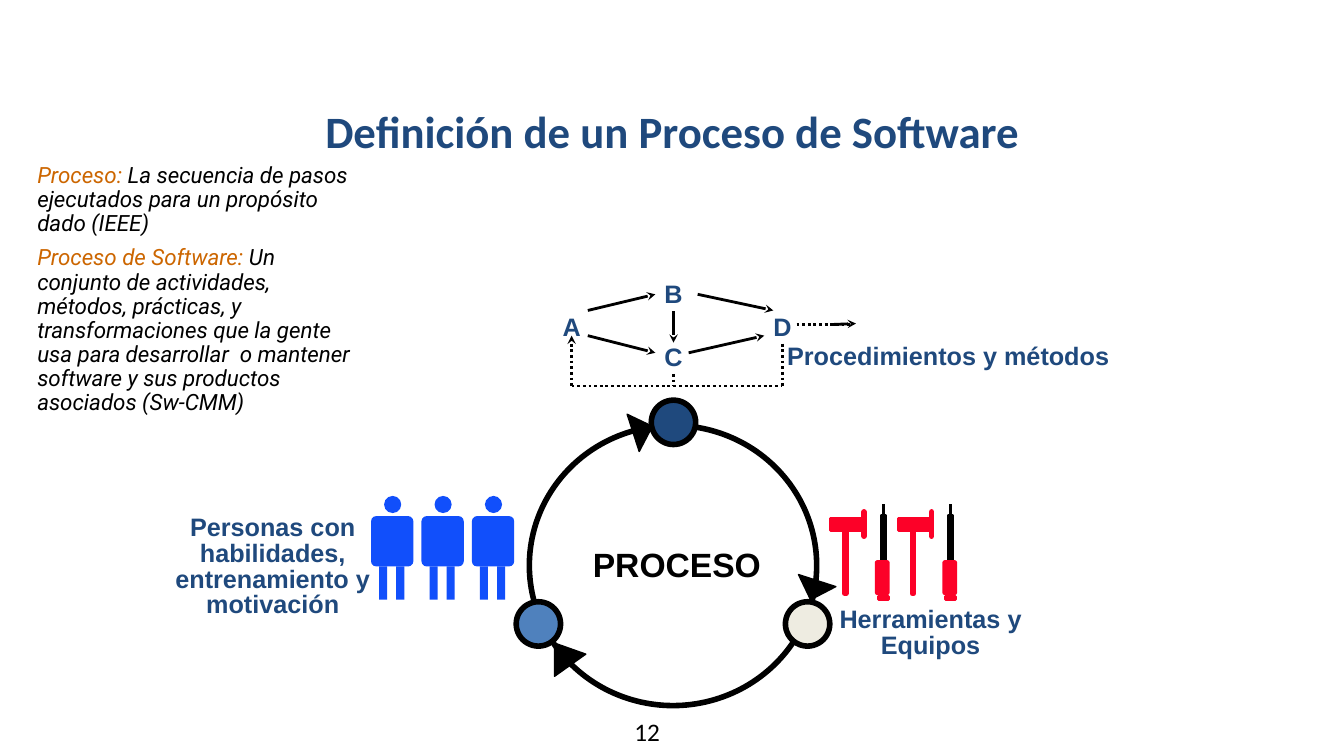
import pptx
import pptx.util
import pptx.dml.color
import pptx.enum.dml
import pptx.enum.shapes
import pptx.enum.text
import pptx.oxml.ns
from lxml import etree
from dataclasses import dataclass

Inches = pptx.util.Inches
Pt = pptx.util.Pt
SHAPE = pptx.enum.shapes.MSO_SHAPE
ALIGN = pptx.enum.text.PP_ALIGN
ANCHOR = pptx.enum.text.MSO_ANCHOR
AUTO = pptx.enum.text.MSO_AUTO_SIZE
TOP, BOTTOM = 0, 2


@dataclass(frozen=True)
class Theme:
    navy: str = "1F497D"
    sky: str = "4F81BD"
    cream: str = "EEECE1"
    person: str = "114FFB"
    tool: str = "FC0128"
    term: str = "CC6600"
    black: str = "000000"
    title: int = 32
    centre: int = 24
    label: int = 18
    body: int = 16


THEME = Theme()


def rgb(value):
    return pptx.dml.color.RGBColor.from_string(value)


def write(para, text, size=THEME.label, color=THEME.navy, font="Arial", bold=False, italic=False):
    span = para.add_run()
    span.text = text
    span.font.size, span.font.name = Pt(size), font
    span.font.bold, span.font.italic = bold, italic
    span.font.color.rgb = rgb(color)


def set_margins(frame, side, end):
    frame.margin_left = frame.margin_right = Inches(side)
    frame.margin_top = frame.margin_bottom = Inches(end)


def label(page, box, lines, align=ALIGN.LEFT, spacing=0.85, **style):
    shape = page.shapes.add_textbox(*map(Inches, box))
    frame = shape.text_frame
    frame.word_wrap = False
    frame.auto_size = AUTO.SHAPE_TO_FIT_TEXT
    set_margins(frame, 0.07, 0.03)
    for number, text in enumerate(lines):
        para = frame.add_paragraph() if number else frame.paragraphs[0]
        para.alignment, para.line_spacing = align, spacing
        write(para, text, **style)
    return shape


def paint(shape, fill=None, line=None, width=1):
    shape.shadow.inherit = False
    if fill:
        shape.fill.solid()
        shape.fill.fore_color.rgb = rgb(fill)
    else:
        shape.fill.background()
    if line:
        shape.line.color.rgb = rgb(line)
        shape.line.width = Pt(width)
    else:
        shape.line.fill.background()


def block(page, kind, box, fill=None, line=None, width=1):
    shape = page.shapes.add_shape(kind, *map(Inches, box))
    if kind == SHAPE.ROUNDED_RECTANGLE:
        shape.adjustments[0] = 0.125
    paint(shape, fill, line, width)


def connect(page, start, end, arrow=False, dotted=False, begin_at=None, end_at=None):
    line = page.shapes.add_connector(pptx.enum.shapes.MSO_CONNECTOR.STRAIGHT,
                                     *map(Inches, (*start, *end)))
    line.line.color.rgb = rgb(THEME.black)
    line.line.width = Pt(2)
    if dotted:
        line.line.dash_style = pptx.enum.dml.MSO_LINE.ROUND_DOT
    if begin_at:
        line.begin_connect(*begin_at)
    if end_at:
        line.end_connect(*end_at)
    qn = pptx.oxml.ns.qn
    if arrow:
        etree.SubElement(line.line._get_or_add_ln(), qn("a:tailEnd"), type="stealth")
    etree.SubElement(line._element.spPr, qn("a:effectLst"))


def place(shape, box):
    shape.left, shape.top, shape.width, shape.height = map(Inches, box)
    shape.text_frame.auto_size = AUTO.NONE
    shape.text_frame.word_wrap = True


def add_title(page, box):
    title = page.shapes.title
    place(title, box)
    frame = title.text_frame
    set_margins(frame, 0, 0)
    frame.vertical_anchor = ANCHOR.MIDDLE
    frame.paragraphs[0].alignment = ALIGN.CENTER
    write(frame.paragraphs[0], "Definición de un Proceso de Software",
          size=THEME.title, font="Calibri", bold=True)


def add_definitions(page, box):
    body = page.placeholders[1]
    place(body, box)
    frame = body.text_frame
    set_margins(frame, 0.07, 0.03)
    frame.vertical_anchor = ANCHOR.TOP
    definitions = (
        ("Proceso:", " La secuencia de pasos ejecutados para un propósito dado (IEEE)"),
        ("Proceso de Software:", " Un conjunto de actividades, métodos, prácticas, y "
         "transformaciones que la gente usa para desarrollar  o mantener software "
         "y sus productos asociados (Sw-CMM)"),
    )
    for number, (term, meaning) in enumerate(definitions):
        para = frame.add_paragraph() if number else frame.paragraphs[0]
        properties = para._p.get_or_add_pPr()
        properties.set("marL", "0")
        properties.set("indent", "0")
        etree.SubElement(properties, pptx.oxml.ns.qn("a:buNone"))
        para.alignment, para.line_spacing = ALIGN.LEFT, 0.9
        para.space_before = Pt(7 if number else 0)
        for text, color in ((term, THEME.term), (meaning, THEME.black)):
            write(para, text, size=THEME.body, color=color, font="Roboto", italic=True)


def add_cycle(page, box):
    left, top, width, height = box
    block(page, SHAPE.OVAL, box, line=THEME.black, width=4)
    label(page, (left + 0.56, top + 1.2, 1.82, 0.41), ["PROCESO"], spacing=0.87,
          size=THEME.centre, color=THEME.black, bold=True)
    # Nodes on the ring
    for x, y, color in ((1.21, -0.25, THEME.navy), (-0.13, 1.75, THEME.sky),
                        (2.54, 1.75, THEME.cream)):
        block(page, SHAPE.OVAL, (left + x, top + y, 0.44, 0.44), color, THEME.black, 4)
    # Direction heads
    heads = (((0.97, -0.11), (1.22, 0.01), (1.09, 0.26)),
             ((2.79, 1.73), (3.04, 1.6), (2.67, 1.48)),
             ((0.25, 2.16), (0.56, 2.27), (0.25, 2.49)))
    for head in heads:
        points = [(Inches(left + x), Inches(top + y)) for x, y in head]
        outline = page.shapes.build_freeform(*points[0])
        outline.add_line_segments(points[1:], close=True)
        paint(outline.convert_to_shape(), THEME.black, THEME.black)


def add_person(page, box):
    left, top, width, height = box
    block(page, SHAPE.ROUNDED_RECTANGLE, (left, top + 0.2, width, 0.5), THEME.person)
    block(page, SHAPE.OVAL, (left + 0.13, top, 0.17, 0.17), THEME.person)
    for x in (0.08, 0.25):
        block(page, SHAPE.RECTANGLE, (left + x, top + 0.7, 0.08, height - 0.7), THEME.person)


def add_tool_pair(page, box):
    left, top, width, height = box
    red, black = THEME.tool, THEME.black
    parts = (
        # Hammer
        (SHAPE.RECTANGLE, 0.14, 0.24, 0.01, 0.65, red, 4),
        (SHAPE.RECTANGLE, 0, 0.14, 0.31, 0.12, red, 2),
        (SHAPE.RECTANGLE, 0.33, 0.08, 0, 0.24, red, 4),
        # Screwdriver
        (SHAPE.RECTANGLE, 0.5, 0.11, 0.04, 0.62, black, 2),
        (SHAPE.ROUNDED_RECTANGLE, 0.45, 0.57, 0.12, 0.32, red, 2),
        (SHAPE.RECTANGLE, 0.47, 0.92, 0.1, 0.03, red, 2),
    )
    for kind, x, y, wide, high, color, line in parts:
        block(page, kind, (left + x, top + y, wide, high), color, color, line)
    connect(page, (left + 0.52, top + 0.33), (left + 0.52, top))


def add_method_flow(page, box):
    left, top, width, height = box

    def at(x, y):
        return left + x, top + y

    spots = {"A": (0, 0.32), "B": (1.01, 0), "C": (1.01, 0.62), "D": (2.09, 0.32)}
    step = {name: label(page, (*at(*spot), 0.32, 0.31), [name], bold=True)
            for name, spot in spots.items()}
    # Forward steps
    for start, end in (((1.41, 0.14), (2.16, 0.3)), ((0.32, 0.3), (0.99, 0.14)),
                       ((0.32, 0.55), (0.99, 0.72)), ((1.32, 0.72), (2.07, 0.55)),
                       ((2.73, 0.44), (2.98, 0.43)), ((0.16, 0.64), (0.16, 0.55))):
        connect(page, at(*start), at(*end), arrow=True)
    connect(page, at(1.17, 0.26), at(1.17, 0.6), arrow=True,
            begin_at=(step["B"], BOTTOM), end_at=(step["C"], TOP))
    # Dotted feedback and exit
    for name, x in (("A", 0.16), ("C", 1.17), ("D", 2.25)):
        connect(page, at(x, 0.64), at(x, height), dotted=True, begin_at=(step[name], BOTTOM))
    for start, end in (((0.16, height), (1.17, height)), ((1.17, height), (2.25, height)),
                       ((2.39, 0.44), (2.92, 0.44))):
        connect(page, at(*start), at(*end), dotted=True)


def build_process_slide(deck):
    page = deck.slides.add_slide(deck.slide_layouts[1])
    add_title(page, (2.42, 0.98, 8.5, 0.64))
    add_definitions(page, (0.3, 1.6, 3.33, 2.6))
    add_cycle(page, (5.25, 4.22, 2.85, 2.78))
    for number in range(3):
        add_person(page, (3.68 + 0.5 * number, 4.92, 0.42, 1.03))
    for number in range(2):
        add_tool_pair(page, (8.24 + 0.67 * number, 5, 0.57, 0.95))
    add_method_flow(page, (5.51, 2.78, 2.98, 1.05))
    # Captions
    for box, lines in (
            ((7.72, 3.39, 3.37, 0.31), ["Procedimientos y métodos"]),
            ((8.25, 6, 1.96, 0.57), ["Herramientas y", "Equipos"]),
            ((1.66, 5.09, 2.09, 1.09),
             ["Personas con", "habilidades,", "entrenamiento y", "motivación"])):
        label(page, box, lines, align=ALIGN.CENTER, bold=True)
    # Page number
    label(page, (6.22, 7.08, 0.4, 0.36), ["12"], align=ALIGN.CENTER, spacing=1.0,
          color=THEME.black, font="Calibri")


def main():
    deck = pptx.Presentation()
    deck.slide_width, deck.slide_height = Inches(13.33), Inches(7.5)
    build_process_slide(deck)
    deck.save("out.pptx")


if __name__ == "__main__":
    main()
